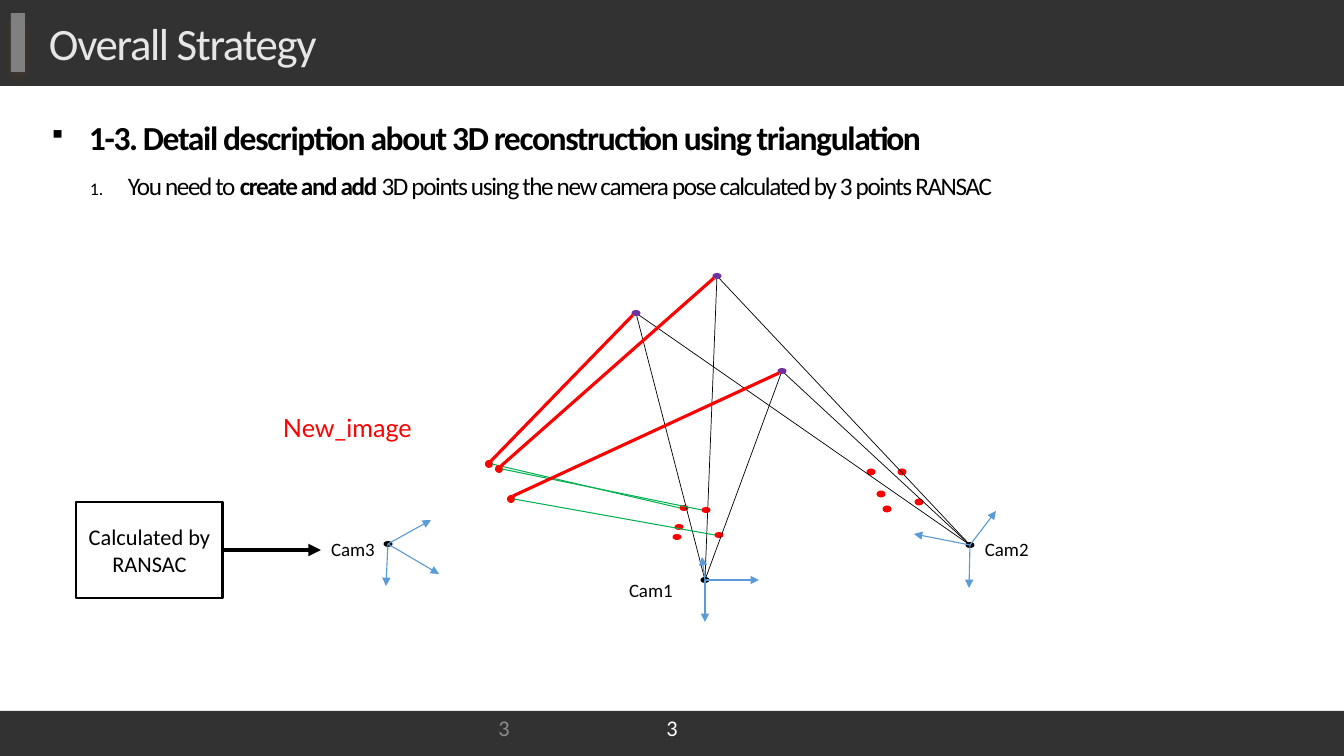
from dataclasses import dataclass
from itertools import product

from lxml import etree
from pptx import Presentation
from pptx.dml.color import RGBColor
from pptx.enum.shapes import MSO_CONNECTOR, MSO_SHAPE
from pptx.enum.text import MSO_ANCHOR, PP_ALIGN
from pptx.oxml.ns import qn
from pptx.util import Pt

RECTANGLE, OVAL = MSO_SHAPE.RECTANGLE, MSO_SHAPE.OVAL
STRAIGHT = MSO_CONNECTOR.STRAIGHT
TOP, MIDDLE = MSO_ANCHOR.TOP, MSO_ANCHOR.MIDDLE
LEFT, CENTER = PP_ALIGN.LEFT, PP_ALIGN.CENTER
LEFT_SIDE, RIGHT_SIDE = 1, 3
SLIDE_WIDTH, SLIDE_HEIGHT = 1344, 756
EMU_PER_PX = 12192000 / SLIDE_WIDTH


@dataclass(frozen=True)
class Theme:
    font: str = "Calibri"
    label_font: str = "Lato"
    bar: str = "323232"
    accent: str = "808080"
    accent_shadow: str = "4E3B30"
    title: str = "E7E6E6"
    white: str = "FFFFFF"
    muted: str = "8C8C8C"
    black: str = "000000"
    red: str = "FF0000"
    green: str = "00B050"
    purple: str = "7030A0"
    axis: str = "5B9BD5"
    title_size: float = 32
    heading_size: float = 24
    body_size: float = 18
    small_size: float = 16
    camera_size: float = 13.5
    tracking: int = -100


THEME = Theme()


def px(length):
    return round(length * EMU_PER_PX)


def add_xml(parent, tag, **attributes):
    return etree.SubElement(parent, qn(tag), attributes)


def add_block(slide, kind, box, fill=None, outline=None, weight=0):
    shape = slide.shapes.add_shape(kind, *map(px, box))
    shape.shadow.inherit = False
    if fill:
        shape.fill.solid()
        shape.fill.fore_color.rgb = RGBColor.from_string(fill)
    else:
        shape.fill.background()
    if outline:
        shape.line.color.rgb = RGBColor.from_string(outline)
        shape.line.width = Pt(weight)
    else:
        shape.line.fill.background()
    return shape


def add_dot(slide, center, size, color):
    (x, y), (width, height) = center, size
    add_block(slide, OVAL, (x - width / 2, y - height / 2, width, height), color)


def add_line(slide, start, end, color, weight, arrow=False):
    connector = slide.shapes.add_connector(STRAIGHT, *map(px, (*start, *end)))
    connector.line.color.rgb = RGBColor.from_string(color)
    connector.line.width = Pt(weight)
    if arrow:
        add_xml(connector.line._get_or_add_ln(), "a:tailEnd", type="triangle")
    add_xml(connector._element.spPr, "a:effectLst")
    return connector


def style_paragraph(paragraph, size, color, font=THEME.font, align=LEFT):
    paragraph.alignment = align
    paragraph.font.name = font
    paragraph.font.size = Pt(size)
    paragraph.font.color.rgb = RGBColor.from_string(color)


def set_frame(shape, anchor, inset_x, inset_y):
    frame = shape.text_frame
    frame.word_wrap = True
    frame.vertical_anchor = anchor
    frame.margin_left = frame.margin_right = px(inset_x)
    frame.margin_top = frame.margin_bottom = px(inset_y)
    return frame


def add_text(slide, box, text, size, color, font=THEME.font, align=LEFT,
             anchor=TOP, insets=(10, 5)):
    shape = slide.shapes.add_textbox(*map(px, box))
    paragraph = set_frame(shape, anchor, *insets).paragraphs[0]
    paragraph.add_run().text = text
    style_paragraph(paragraph, size, color, font, align)
    return shape


def tighten(paragraph):
    for run in paragraph.runs:
        run._r.get_or_add_rPr().set("spc", str(THEME.tracking))


def add_bullet(paragraph, margin, hanging, tag, **attributes):
    properties = paragraph._p.get_or_add_pPr()
    properties.set("marL", str(px(margin)))
    properties.set("indent", str(-px(hanging)))
    color = add_xml(properties, "a:buClr")
    add_xml(color, "a:srgbClr", val=THEME.black)
    add_xml(properties, "a:buSzPct", val="70000")
    add_xml(properties, tag, **attributes)


def build_header(slide, box):
    left, top, width, height = box
    add_block(slide, RECTANGLE, box, THEME.bar)
    accent = add_block(slide, RECTANGLE, (left + 11, top + 13, 14, 59), THEME.accent)
    effects = accent._element.spPr.find(qn("a:effectLst"))
    shadow = add_xml(effects, "a:outerShdw", blurRad=str(Pt(6)), dist=str(Pt(4)),
                     dir="5400000", rotWithShape="0")
    color = add_xml(shadow, "a:srgbClr", val=THEME.accent_shadow)
    add_xml(color, "a:alpha", val="60000")
    title = add_text(slide, (left + 33, top + 20, width - 67, 45), "Overall Strategy",
                     THEME.title_size, THEME.title, anchor=MIDDLE, insets=(16, 8))
    tighten(title.text_frame.paragraphs[0])


def build_footer(slide, box):
    left, top, width, height = box
    add_block(slide, RECTANGLE, box, THEME.bar)
    for x, number_width, color in ((616, 112, THEME.white), (462, 84, THEME.muted)):
        add_text(slide, (left + x, top + 3, number_width, 27), "3", THEME.small_size,
                 color, align=CENTER, anchor=MIDDLE, insets=(16, 8))


def build_body(slide, box):
    shape = slide.shapes.add_textbox(*map(px, box))
    frame = set_frame(shape, TOP, 16, 8)
    heading, step = frame.paragraphs[0], frame.add_paragraph()
    heading.add_run().text = (
        "1-3. Detail description about 3D reconstruction using triangulation")
    add_bullet(heading, 40, 40, "a:buChar", char="▪")
    style_paragraph(heading, THEME.heading_size, THEME.black)
    heading.font.bold = True

    step.level = 1
    step.space_before = Pt(9.5)
    for text, bold in (
        ("You need to ", False),
        ("create and add", True),
        (" 3D points using the new camera pose calculated by 3 points RANSAC", False),
    ):
        run = step.add_run()
        run.text = text
        run.font.bold = bold
    add_bullet(step, 79, 38, "a:buAutoNum", type="arabicPeriod")
    style_paragraph(step, THEME.body_size, THEME.black)
    for paragraph in (heading, step):
        tighten(paragraph)


def build_cameras(slide, box):
    left, top, width, height = box

    def at(point, shift=(0, 0)):
        return left + point[0] + shift[0], top + point[1] + shift[1]

    points = [(366, 53), (447, 16), (512, 111)]
    first_view = [(414, 248), (449, 275), (409, 267), (436, 250), (407, 277)]
    second_view = [(601, 212), (611, 234), (649, 242), (632, 212), (617, 249)]
    new_view = [(219, 204), (229, 209), (241, 239)]
    matches = [first_view[0], first_view[3], first_view[1]]
    cameras = {
        "Cam1": ((435, 320), (349, 314), [(54, 0), (0, 42), (-3, -23)]),
        "Cam2": ((700, 285), (705, 273), [(26, -34), (-1, 43), (-56, -11)]),
        "Cam3": ((118, 284), (51, 273), [(43, -24), (-2, 42), (51, 30)]),
    }

    for view, size in ((first_view, (9, 6)), (second_view, (9, 7))):
        for dot in view:
            add_dot(slide, at(dot), size, THEME.red)
    for name, point in product(("Cam1", "Cam2"), points):
        add_line(slide, at(cameras[name][0]), at(point), THEME.black, 0.5)
    for point in points:
        add_dot(slide, at(point), (9, 6), THEME.purple)

    labels = {}
    for name, (center, label, axes) in cameras.items():
        add_dot(slide, at(center), (9, 6), THEME.black)
        for axis in axes:
            add_line(slide, at(center), at(center, axis), THEME.axis, 0.79, arrow=True)
        labels[name] = add_text(slide, (*at(label), 96, 34), name,
                                THEME.camera_size, THEME.black)

    add_text(slide, (*at((3, 147)), 152, 40), "New_image", THEME.body_size,
             THEME.red, THEME.label_font)
    for dot, point, match in zip(new_view, points, matches):
        add_dot(slide, at(dot), (8, 8), THEME.red)
        add_line(slide, at(dot, (2, -3)), at(point, (-3, 2)), THEME.red, 2.25)
        add_line(slide, at(dot, (3, 0)), at(match, (-4, 0)), THEME.green, 0.75)
    return labels["Cam3"]


def build_pose_source(slide, box, target):
    left, top, width, height = box
    source = add_block(slide, RECTANGLE, box, outline=THEME.black, weight=2)
    paragraph = set_frame(source, MIDDLE, 10, 5).paragraphs[0]
    paragraph.add_run().text = "Calculated by RANSAC"
    style_paragraph(paragraph, THEME.small_size, THEME.black, align=CENTER)
    middle = top + height / 2
    arrow = add_line(slide, (left + width, middle), (left + width + 98, middle),
                     THEME.black, 3, arrow=True)
    arrow.begin_connect(source, RIGHT_SIDE)
    arrow.end_connect(target, LEFT_SIDE)


def main():
    presentation = Presentation()
    presentation.slide_width = px(SLIDE_WIDTH)
    presentation.slide_height = px(SLIDE_HEIGHT)
    slide = presentation.slides.add_slide(presentation.slide_layouts[6])
    build_header(slide, (0, 0, SLIDE_WIDTH, 86))
    build_footer(slide, (0, 711, SLIDE_WIDTH, 45))
    build_body(slide, (33, 109, 1277, 572))
    new_camera = build_cameras(slide, (270, 260, 770, 370))
    build_pose_source(slide, (76, 502, 147, 96), new_camera)
    presentation.save("out.pptx")


if __name__ == "__main__":
    main()
